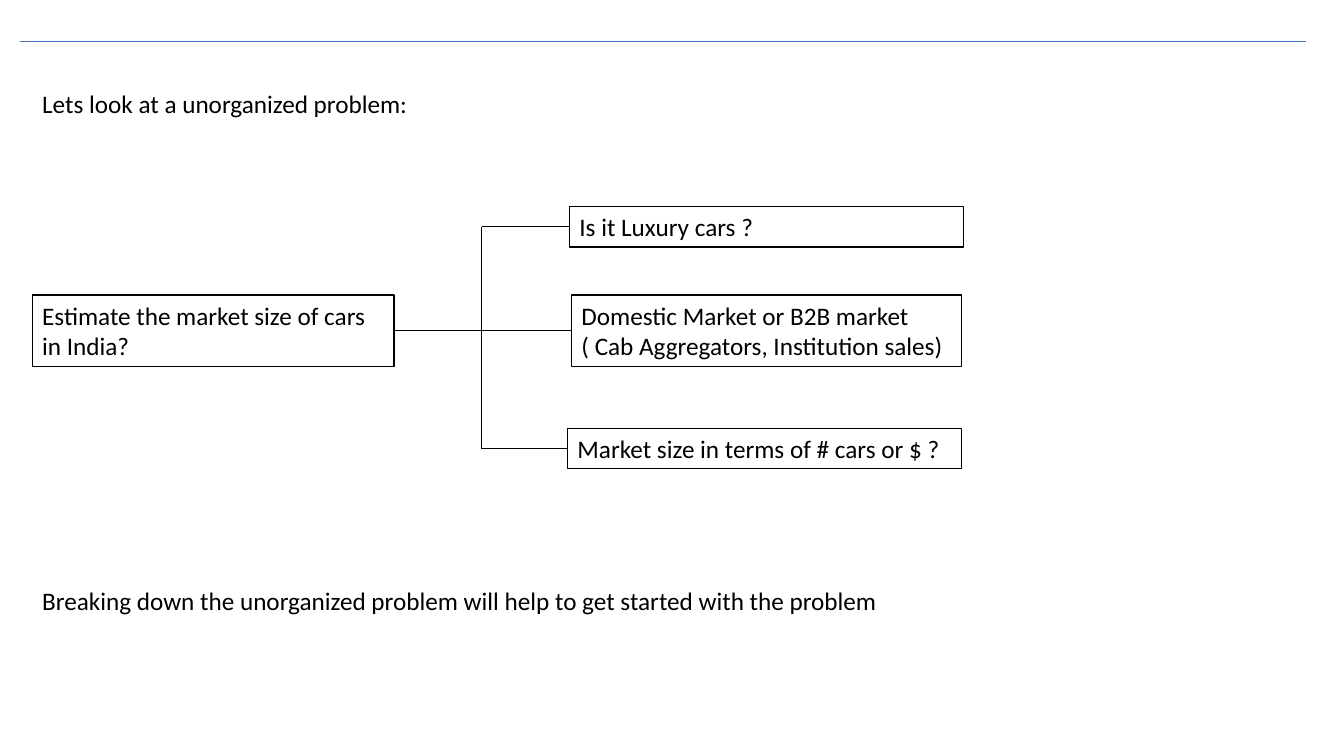
import dataclasses

import pptx
import pptx.dml.color
import pptx.enum.shapes
import pptx.enum.text
import pptx.oxml
import pptx.oxml.ns
import pptx.util


@dataclasses.dataclass(frozen=True)
class Theme:
    font: str = "Calibri"
    body_size: float = 18
    ink: str = "000000"
    paper: str = "FFFFFF"
    accent: str = "4472C4"
    line_width: float = 1
    thin_line: float = 0.5


class SlideBuilder:
    """Draws on one slide, measured on a grid of 40 columns by 30 rows."""

    COLUMNS, ROWS = 40, 30

    def __init__(self, presentation, theme):
        self.theme = theme
        self.column = presentation.slide_width / self.COLUMNS
        self.row = presentation.slide_height / self.ROWS
        self.slide = presentation.slides.add_slide(presentation.slide_layouts[6])

    def place(self, *lengths):
        """Turn alternating columns and rows into slide units."""
        units = (self.column, self.row) * 2
        return [round(length * unit) for length, unit in zip(lengths, units)]

    def color(self, value):
        return pptx.dml.color.RGBColor.from_string(value)

    def set_wording(self, shape, wording):
        frame = shape.text_frame
        frame.word_wrap = True
        frame.vertical_anchor = pptx.enum.text.MSO_ANCHOR.TOP
        frame.text = wording
        for paragraph in frame.paragraphs:
            paragraph.alignment = pptx.enum.text.PP_ALIGN.LEFT
            for run in paragraph.runs:
                run.font.name = self.theme.font
                run.font.size = pptx.util.Pt(self.theme.body_size)
                run.font.color.rgb = self.color(self.theme.ink)

    def text(self, left, top, width, height, wording):
        area = self.place(left, top, width, height)
        self.set_wording(self.slide.shapes.add_textbox(*area), wording)

    def box(self, left, top, width, height, wording):
        box = self.slide.shapes.add_shape(
            pptx.enum.shapes.MSO_SHAPE.RECTANGLE, *self.place(left, top, width, height))
        box.shadow.inherit = False
        box.fill.solid()
        box.fill.fore_color.rgb = self.color(self.theme.paper)
        box.line.color.rgb = self.color(self.theme.ink)
        box.line.width = pptx.util.Pt(self.theme.line_width)
        self.set_wording(box, wording)
        return box

    def line(self, x1, y1, x2, y2, color=None, width=None, start=None, end=None):
        """Draw a line, joined to the right of start and the left of end."""
        line = self.slide.shapes.add_connector(
            pptx.enum.shapes.MSO_CONNECTOR.STRAIGHT, *self.place(x1, y1, x2, y2))
        line.line.color.rgb = self.color(color or self.theme.ink)
        line.line.width = pptx.util.Pt(width or self.theme.line_width)
        properties = line._element.spPr
        properties.append(pptx.oxml.parse_xml(
            f"<a:effectLst {pptx.oxml.ns.nsdecls('a')}/>"))
        if start is not None:
            line.begin_connect(start, 3)
        if end is not None:
            line.end_connect(end, 1)


def main():
    presentation = pptx.Presentation()
    presentation.slide_width = pptx.util.Inches(13.33)
    presentation.slide_height = pptx.util.Inches(7.5)
    theme = Theme()
    page = SlideBuilder(presentation, theme)

    margin, text_width = 0.96, 35.22
    one_line, two_lines = 1.6, 2.84
    box_width, spine = 10.77, 14.34

    # Header rule and introduction
    page.line(0.6, 1.64, 38.88, 1.64, color=theme.accent)
    page.text(margin, 3.32, text_width, one_line, "Lets look at a unorganized problem:")

    # Problem and its link to the spine
    problem_top = 11.7
    problem_middle = problem_top + two_lines / 2
    problem = page.box(margin, problem_top, box_width, two_lines,
                       "Estimate the market size of cars in India?")
    page.line(margin + box_width, problem_middle, spine, problem_middle, start=problem)

    # Clarifying questions, each linked to the spine
    questions = [
        (16.95, 8.2, 11.73, one_line, "Is it Luxury cars ?"),
        (17.01, problem_top, 11.61, two_lines,
         "Domestic Market or B2B market\v( Cab Aggregators, Institution sales)"),
        (16.89, 17, 11.73, one_line, "Market size in terms of # cars or $ ?"),
    ]
    middles = []
    for left, top, width, height, wording in questions:
        question = page.box(left, top, width, height, wording)
        middle = top + height / 2
        page.line(spine, middle, left, middle, end=question)
        middles.append(middle)
    page.line(spine, middles[0], spine, middles[-1], width=theme.thin_line)

    # Takeaway
    page.text(margin, 23.04, text_width, one_line,
              "Breaking down the unorganized problem will help to get started with the problem")

    presentation.save("out.pptx")


if __name__ == "__main__":
    main()
